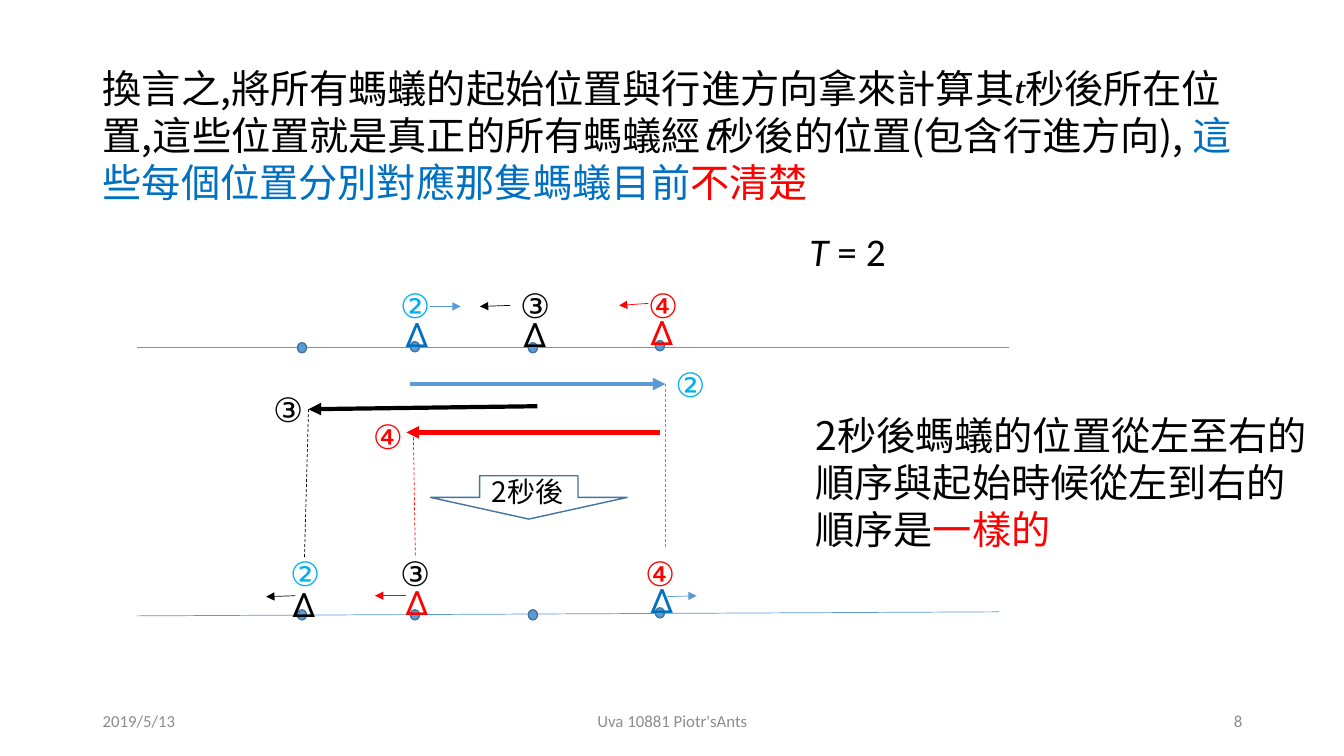
import pptx
import pptx.util
import pptx.dml.color
import pptx.enum.dml
import pptx.enum.shapes
import pptx.enum.text
import pptx.oxml
import pptx.oxml.ns
from pptx.util import Inches

COLORS = {"black": "000000", "red": "FF0000", "blue": "0070C0", "sky": "00B0F0",
          "accent": "5B9BD5", "outline": "43739E", "gray": "8C8C8C"}
CJK, SANS, SYMBOL, SERIF = "Noto Sans CJK SC", "Calibri", "Roboto", "Times New Roman"
LABELS = {2: ("②", "sky", 0.47), 3: ("③", "black", 0.45), 4: ("④", "red", 0.35)}
COLUMNS = [1.64, 2.76, 3.93, 5.19]


def rgb(name):
    """Return the named colour."""
    return pptx.dml.color.RGBColor.from_string(COLORS[name])


def write_text(slide, box, runs, size=24, font=SYMBOL, align="LEFT", anchor="TOP",
               wrap=True, shape=None):
    """Write runs of (text, colour, optional format) in a text box or a given shape."""
    lengths = [Inches(value) for value in box]
    if shape is None:
        shape = slide.shapes.add_textbox(*lengths)
    else:
        shape.left, shape.top, shape.width, shape.height = lengths
    frame = shape.text_frame
    frame.word_wrap = wrap
    frame.auto_size = pptx.enum.text.MSO_AUTO_SIZE.NONE
    frame.vertical_anchor = getattr(pptx.enum.text.MSO_ANCHOR, anchor)
    paragraph = frame.paragraphs[0]
    paragraph.alignment = getattr(pptx.enum.text.PP_ALIGN, align)
    for text, color, *options in runs:
        options = options[0] if options else {}
        run = paragraph.add_run()
        run.text = text
        run.font.size = pptx.util.Pt(size)
        run.font.italic = options.get("italic", False)
        run.font.color.rgb = rgb(color)
        run.font.name = options.get("font", font)
        east_asian = pptx.oxml.parse_xml(
            f'<a:ea {pptx.oxml.ns.nsdecls("a")} typeface="{run.font.name}"/>')
        run.font._element.find(pptx.oxml.ns.qn("a:latin")).addnext(east_asian)


def add_line(slide, start, end, color, width=0.5, arrow=False, dashed=False):
    """Draw a straight line, with an arrowhead at its end if asked."""
    line = slide.shapes.add_connector(
        pptx.enum.shapes.MSO_CONNECTOR.STRAIGHT, *[Inches(value) for value in (*start, *end)])
    line.line.color.rgb = rgb(color)
    line.line.width = pptx.util.Pt(width)
    if dashed:
        line.line.dash_style = pptx.enum.dml.MSO_LINE.DASH
    namespace = pptx.oxml.ns.nsdecls("a")
    if arrow:
        line.line._get_or_add_ln().append(
            pptx.oxml.parse_xml(f'<a:tailEnd {namespace} type="triangle"/>'))
    line._element.spPr.append(pptx.oxml.parse_xml(f"<a:effectLst {namespace}/>"))


def add_outlined(slide, kind, box, fill=None):
    """Draw a preset shape with the thin dark outline."""
    shape = slide.shapes.add_shape(kind, *[Inches(value) for value in box])
    shape.shadow.inherit = False
    if fill:
        shape.fill.solid()
        shape.fill.fore_color.rgb = rgb(fill)
    else:
        shape.fill.background()
    shape.line.color.rgb = rgb("outline")
    shape.line.width = pptx.util.Pt(1)


def add_label(slide, number, left, top):
    """Write the circled number of an ant."""
    text, color, width = LABELS[number]
    write_text(slide, (left, top, width, 0.5), [(text, color)])


def draw_axis(slide, box, dot_tops, ants):
    """Draw a number line with its dots, ants, labels and direction arrows."""
    left, top, width, slope = box
    add_line(slide, (left, top), (left + width, top + slope), "accent")
    for column, dot_top in zip(COLUMNS, dot_tops):
        add_outlined(slide, pptx.enum.shapes.MSO_SHAPE.OVAL,
                     (left + column - 0.05, top + dot_top, 0.09, 0.1), "accent")
    for column, number, shift, color, ant_top, arrow_color, start, end in ants:
        center = left + COLUMNS[column]
        write_text(slide, (center - 0.2, top + ant_top, 0.31, 0.5), [("Δ", color)])
        add_label(slide, number, center - shift, top - 0.67)
        add_line(slide, (center + start[0], top + start[1]),
                 (center + end[0], top + end[1]), arrow_color, arrow=True)


def draw_moves(slide, box):
    """Draw the long moves, their labels, the dashed guides and the block arrow."""
    left, top = box
    moves = [(2, "accent", (1.46, 0), (3.99, 0), (3.99, -0.25), (3.99, 1.62)),
             (3, "black", (2.72, 0.22), (0.45, 0.25), (0, 0), (0.41, 1.72)),
             (4, "red", (3.94, 0.48), (1.42, 0.48), (0.99, 0.27), (1.51, 1.72))]
    for number, color, start, end, label, foot in moves:
        start, end, foot = [(left + x, top + y) for x, y in (start, end, foot)]
        add_line(slide, start, end, color, width=3, arrow=True)
        guide = (left + 1.49, end[1]) if number == 4 else end
        add_line(slide, guide, foot, color, dashed=True)
        add_label(slide, number, left + label[0], top + label[1])
    add_outlined(slide, pptx.enum.shapes.MSO_SHAPE.DOWN_ARROW,
                 (left + 1.66, top + 0.91, 1.95, 0.43))
    write_text(slide, (left + 2.17, top + 0.85, 1.27, 0.44), [("2秒後", "black")],
               size=20, font=CJK)


def write_statement(slide, box):
    """Write the opening statement in the title placeholder."""
    italic = {"italic": True}
    write_text(slide, box, [
        ("換言之,將所有螞蟻的起始位置與行進方向拿來計算其", "black"),
        ("t", "black", {"italic": True, "font": SERIF}),
        ("秒後所在位置,這些位置就是真正的所有螞蟻經", "black"),
        ("t", "black", italic),
        ("秒後的位置(包含行進方向), ", "black"),
        ("這些每個位置分別對應那隻螞蟻目前", "blue"),
        ("不清楚", "red")], size=28, font=CJK, shape=slide.shapes.title)


def write_remarks(slide, box):
    """Write the elapsed time and the conclusion beside the diagram."""
    left, top = box
    write_text(slide, (left, top, 0.99, 0.57),
               [("T", "black", {"italic": True}), (" = 2", "black")],
               size=28, font=SANS, wrap=False)
    write_text(slide, (left + 0.06, top + 1.82, 5.08, 1.51),
               [("2秒後螞蟻的位置從左至右的順序與起始時候從左到右的順序是", "black"),
                ("一樣的", "red")], size=28, font=CJK)


def write_footer(slide, box):
    """Write the date, the deck name and the slide number."""
    left, top, height = box
    for shift, width, text, align in [(0, 3, "2019/5/13", "LEFT"),
                                      (3.5, 4.5, "Uva 10881 Piotr'sAnts", "CENTER"),
                                      (8.5, 3, "8", "RIGHT")]:
        write_text(slide, (left + shift, top, width, height), [(text, "gray")],
                   size=12, font=SANS, align=align, anchor="MIDDLE")


def main():
    """Build and save the slide."""
    presentation = pptx.Presentation()
    presentation.slide_width, presentation.slide_height = Inches(13.33), Inches(7.5)
    slide = presentation.slides.add_slide(presentation.slide_layouts[5])
    write_statement(slide, (0.92, 0.59, 11.65, 1.51))
    draw_axis(slide, (1.36, 3.45, 8.65, 0), [-0.05, -0.06, -0.05, -0.07], [
        (1, 2, 0.25, "blue", -0.38, "accent", (0.14, -0.41), (0.45, -0.41)),
        (2, 3, 0.23, "black", -0.38, "black", (-0.23, -0.42), (-0.53, -0.41)),
        (3, 4, 0.22, "red", -0.4, "red", (-0.12, -0.44), (-0.41, -0.42))])
    draw_moves(slide, (2.61, 3.81))
    draw_axis(slide, (1.36, 6.11, 8.55, -0.04), [-0.06, -0.06, -0.06, -0.08], [
        (0, 2, 0.22, "black", -0.37, "black", (-0.07, -0.2), (-0.36, -0.19)),
        (1, 3, 0.25, "red", -0.39, "red", (-0.09, -0.2), (-0.4, -0.2)),
        (3, 4, 0.25, "blue", -0.41, "accent", (0.05, -0.19), (0.36, -0.2))])
    write_remarks(slide, (7.93, 2.21))
    write_footer(slide, (0.92, 6.95, 0.4))
    presentation.save("out.pptx")


main()
